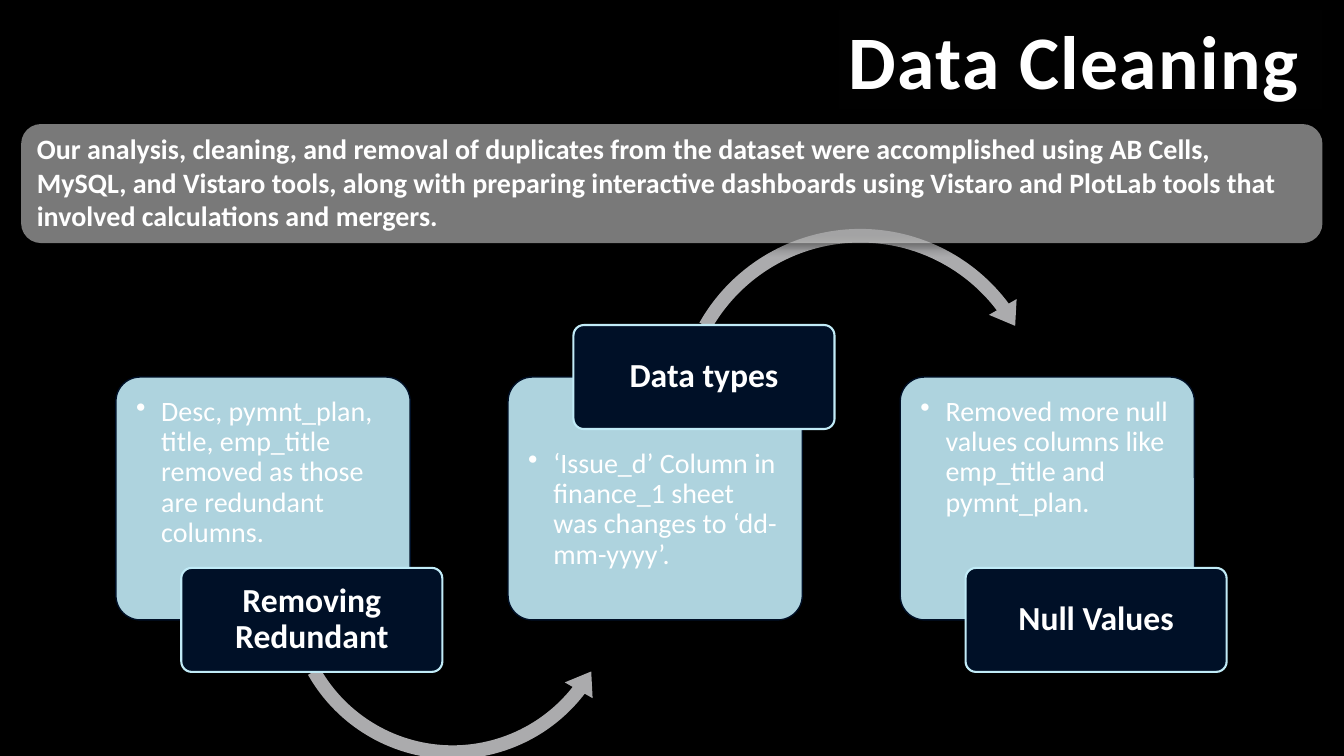
from pptx import Presentation
from pptx.dml.color import RGBColor
from pptx.enum.shapes import MSO_SHAPE
from pptx.enum.text import MSO_ANCHOR, PP_ALIGN
from pptx.oxml import parse_xml
from pptx.oxml.ns import nsdecls
from pptx.util import Pt
from lxml import etree

ROUNDED, RECTANGLE = MSO_SHAPE.ROUNDED_RECTANGLE, MSO_SHAPE.RECTANGLE
ARROW_UNDER, ARROW_OVER = MSO_SHAPE.LEFT_CIRCULAR_ARROW, MSO_SHAPE.CIRCULAR_ARROW
TOP, MIDDLE, BOTTOM = MSO_ANCHOR.TOP, MSO_ANCHOR.MIDDLE, MSO_ANCHOR.BOTTOM
LEFT, CENTER = PP_ALIGN.LEFT, PP_ALIGN.CENTER

WHITE, NAVY, ICE, GRAY = "FFFFFF", "001027", "C1EBF7", "ABABAD"
CARD_LEFT, CARD_TOP, CARD_WIDTH, CARD_HEIGHT, CARD_PITCH = 82.8, 269.3, 210.2, 173.5, 280.1
LABEL_SHIFT, LABEL_WIDTH, LABEL_HEIGHT = 46.7, 186.5, 74.3

STEPS = [
    ("Removing Redundant", False,
     "Desc, pymnt_plan, title, emp_title removed as those are redundant columns.",
     (ARROW_UNDER, 115.2, 28.8, 250.6, (0.03908, 4.882, 22.637, 90.245, 0.04559))),
    ("Data types", True,
     "‘Issue_d’ Column in finance_1 sheet was changes to ‘dd-mm-yyyy’.",
     (ARROW_OVER, 113, -112.3, 277.2, (0.035, 4.369, 193.876, 125.755, 0.041))),
    ("Null Values", False,
     "Removed more null values columns like emp_title and pymnt_plan.", None),
]


def color(hex_string):
    return RGBColor.from_string(hex_string)


def add_box(page, kind, box, fill, opacity=100, line=None, line_width=1, adjustments=()):
    shape = page.shapes.add_shape(kind, *(Pt(length) for length in box))
    shape.shadow.inherit = False
    for index, value in enumerate(adjustments):
        shape.adjustments[index] = value
    shape.fill.solid()
    shape.fill.fore_color.rgb = color(fill)
    if opacity < 100:
        tint = shape.fill._xPr.find(".//{*}srgbClr")
        tint.append(parse_xml(f'<a:alpha {nsdecls("a")} val="{opacity * 1000}"/>'))
    if line:
        shape.line.color.rgb = color(line)
        shape.line.width = Pt(line_width)
    else:
        shape.line.fill.background()
    return shape


def add_shadow(shape):
    effects = shape._element.spPr.find("{*}effectLst")
    effects.append(parse_xml(
        f'<a:outerShdw {nsdecls("a")} blurRad="{Pt(8.5)}" dist="{Pt(1)}" dir="5400000" '
        'rotWithShape="0"><a:srgbClr val="000000"/></a:outerShdw>'))


def write(shape, text, size=20, bold=False, align=LEFT, anchor=TOP, spacing=1.0,
          insets=(7.2, 3.6, 7.2, 3.6), bullet=False, tracking=0):
    frame = shape.text_frame
    frame.word_wrap = True
    frame.vertical_anchor = anchor
    frame.margin_left, frame.margin_top, frame.margin_right, frame.margin_bottom = map(Pt, insets)
    para = frame.paragraphs[0]
    para.alignment = align
    para.line_spacing = spacing
    if bullet:
        properties = para._p.get_or_add_pPr()
        properties.set("marL", str(Pt(18)))
        properties.set("indent", str(Pt(-18)))
        namespace = properties.nsmap["a"]
        etree.SubElement(properties, f"{{{namespace}}}buChar", char="•")
    span = para.add_run()
    span.text = text
    span.font.name = "Calibri"
    span.font.size = Pt(size)
    span.font.bold = bold
    span.font.color.rgb = color(WHITE)
    if tracking:
        span.font._element.set("spc", str(tracking * 100))


def add_step(page, left, top, label, label_above, note, arrow):
    card = add_box(page, ROUNDED, (left, top, CARD_WIDTH, CARD_HEIGHT), ICE, opacity=90,
                   line=NAVY, adjustments=(0.1,))
    write(card, note, spacing=0.9, bullet=True,
          insets=(9.3, 46.4 if label_above else 9.3, 9.3, 9.3))
    if arrow:
        kind, shift, drop, size, adjustments = arrow
        add_box(page, kind, (left + shift, top + drop, size, size), GRAY, adjustments=adjustments)
    edge = top if label_above else top + CARD_HEIGHT
    label_box = (left + LABEL_SHIFT, edge - LABEL_HEIGHT / 2, LABEL_WIDTH, LABEL_HEIGHT)
    plate = add_box(page, ROUNDED, label_box, NAVY, line=ICE, line_width=1.5, adjustments=(0.1,))
    write(plate, label, size=24, bold=True, align=CENTER, anchor=MIDDLE, spacing=0.9,
          insets=(3.6, 2.2, 3.6, 2.2))


def add_summary(page, box):
    banner = add_box(page, ROUNDED, box, "F2F2F2", opacity=50)
    add_shadow(banner)
    write(banner, "Our analysis, cleaning, and removal of duplicates from the dataset were "
          "accomplished using AB Cells, MySQL, and Vistaro tools, along with preparing "
          "interactive dashboards using Vistaro and PlotLab tools that involved "
          "calculations and mergers.", bold=True, anchor=BOTTOM)


def add_title(page, box):
    title = add_box(page, RECTANGLE, box, "0D0D0D", opacity=14)
    add_shadow(title)
    write(title, "Data Cleaning", size=54, bold=True, anchor=BOTTOM, spacing=0.8, tracking=1)


def main():
    deck = Presentation()
    deck.slide_width, deck.slide_height = Pt(960), Pt(540)
    page = deck.slides.add_slide(deck.slide_layouts[6])
    page.background.fill.solid()
    page.background.fill.fore_color.rgb = color("000000")
    for index, step in enumerate(STEPS):
        add_step(page, CARD_LEFT + index * CARD_PITCH, CARD_TOP, *step)
    add_summary(page, (15.1, 88.6, 929.5, 85))
    add_title(page, (599, 7.2, 345.6, 70.6))
    deck.save("out.pptx")


if __name__ == "__main__":
    main()
